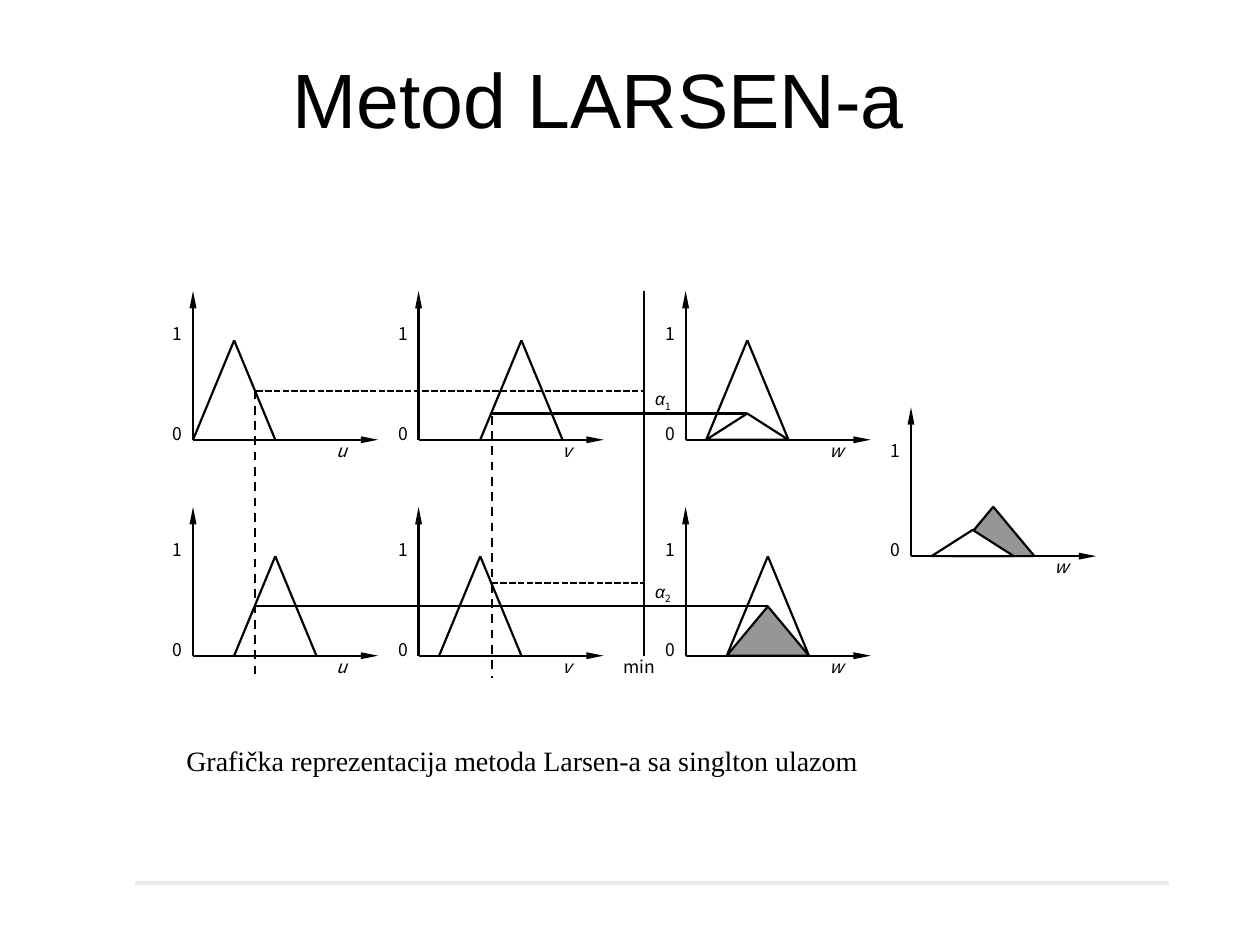
from lxml.etree import SubElement
from pptx import Presentation
from pptx.dml.color import RGBColor
from pptx.enum.dml import MSO_LINE_DASH_STYLE as DASH
from pptx.enum.shapes import MSO_CONNECTOR, MSO_SHAPE
from pptx.enum.text import MSO_ANCHOR, PP_ALIGN
from pptx.oxml.ns import qn
from pptx.util import Pt

BLACK = RGBColor(0x00, 0x00, 0x00)
WHITE = RGBColor(0xFF, 0xFF, 0xFF)
GRAY = RGBColor(0x96, 0x96, 0x96)
RULE = RGBColor(0xEA, 0xEA, 0xEA)
SANS, LABEL, SERIF = "Arial", "Noto Sans CJK KR", "Times New Roman"

# Plot geometry, in points
AXIS_W, AXIS_H = 105.8, 85
HALF, PEAK = 23.5, 56.8          # membership triangle: half base and height
STEP = HALF / 2                  # horizontal unit of the triangle positions
U_X, V_X, W_X, RESULT_X = 110.3, 239.2, 391.8, 520.6
ROW_1, ROW_2, RESULT_Y = 251.3, 374.7, 317.8
MIN_X = 368
CUT_1, CUT_2 = 15, 28.2          # heights of the scaled conclusions
INPUT_U, INPUT_V = U_X + 3 * STEP, 281


def add_line(slide, x1, y1, x2, y2, color=BLACK, width=1.25, dash=None, arrow=False):
    line = slide.shapes.add_connector(
        MSO_CONNECTOR.STRAIGHT, Pt(x1), Pt(y1), Pt(x2), Pt(y2))
    line.line.color.rgb = color
    line.line.width = Pt(width)
    if dash:
        line.line.dash_style = dash
    if arrow:
        SubElement(line.line._get_or_add_ln(), qn("a:tailEnd"),
                   type="triangle", w="sm", len="lg")
    SubElement(line._element.spPr, qn("a:effectLst"))


def add_label(slide, text, x, y, width=12, italic=False, font=LABEL, subscript=None):
    box = slide.shapes.add_textbox(Pt(x), Pt(y), Pt(width), Pt(9.5))
    tf = box.text_frame
    tf.word_wrap = True
    tf.margin_left = tf.margin_right = tf.margin_top = tf.margin_bottom = 0
    p = tf.paragraphs[0]
    p.text = text
    format_run(p.runs[0], font, 10, italic)
    if subscript:
        r = p.add_run()
        r.text = subscript
        format_run(r, LABEL, 10)
        r._r.get_or_add_rPr().set("baseline", "-25000")


def format_run(r, font, size, italic=False):
    r.font.name = font
    r.font.size = Pt(size)
    r.font.italic = italic
    r.font.color.rgb = BLACK


def add_plot(slide, x, y, variable, start=None):
    """Axes with origin (x, y) and a membership triangle start steps to the right."""
    add_line(slide, x, y, x, y - AXIS_H, arrow=True)
    add_line(slide, x, y, x + AXIS_W, y, arrow=True)
    add_label(slide, "1", x - 11.5, y - 66.5)
    add_label(slide, "0", x - 11.5, y - 9.6)
    add_label(slide, variable, x + 82, y, italic=True)
    if start is not None:
        left = x + start * STEP
        add_line(slide, left, y, left + HALF, y - PEAK)
        add_line(slide, left + HALF, y - PEAK, left + 2 * HALF, y)


def add_conclusion(slide, x, y, start, height, fill):
    """Scaled triangle standing on the axis of the plot with origin (x, y)."""
    sp = slide.shapes.add_shape(
        MSO_SHAPE.ISOSCELES_TRIANGLE, Pt(x + start * STEP), Pt(y - height),
        Pt(2 * HALF), Pt(height))
    sp.shadow.inherit = False
    sp.fill.solid()
    sp.fill.fore_color.rgb = fill
    sp.line.color.rgb = BLACK
    sp.line.width = Pt(1.25)


def add_title(slide, x, y, w, h):
    title = slide.shapes.title
    title.left, title.top, title.width, title.height = Pt(x), Pt(y), Pt(w), Pt(h)
    tf = title.text_frame
    tf.text = "Metod LARSEN-a"
    tf.vertical_anchor = MSO_ANCHOR.MIDDLE
    tf.paragraphs[0].alignment = PP_ALIGN.CENTER
    format_run(tf.paragraphs[0].runs[0], SANS, 44)


def add_diagram(slide):
    # Rule 1, rule 2 and the combined result
    for x, y, variable, start in [
            (U_X, ROW_1, "u", 0), (V_X, ROW_1, "v", 3), (W_X, ROW_1, "w", 1),
            (U_X, ROW_2, "u", 2), (V_X, ROW_2, "v", 1), (W_X, ROW_2, "w", 2),
            (RESULT_X, RESULT_Y, "w", None)]:
        add_plot(slide, x, y, variable, start)

    # Singleton inputs
    add_line(slide, INPUT_U, 223.2, INPUT_U, 385.2, dash=DASH.DASH)
    add_line(slide, INPUT_V, 237.6, INPUT_V, 387.4, dash=DASH.DASH)

    # Larger membership degrees, dropped by the minimum
    add_line(slide, INPUT_U + 1, 223.2, MIN_X, 223.2, dash=DASH.SQUARE_DOT)
    add_line(slide, INPUT_V, 333, MIN_X, 333, dash=DASH.SQUARE_DOT)

    # Smaller membership degrees, carried to the conclusions
    apex_1, apex_2 = W_X + STEP + HALF, W_X + 2 * STEP + HALF
    add_line(slide, INPUT_V, ROW_1 - CUT_1, apex_1, ROW_1 - CUT_1)
    add_line(slide, INPUT_U, ROW_2 - CUT_2, apex_2, ROW_2 - CUT_2)

    # Scaled conclusions
    for x, y, start, height, fill in [
            (W_X, ROW_2, 2, CUT_2, GRAY), (W_X, ROW_1, 1, CUT_1, WHITE),
            (RESULT_X, RESULT_Y, 2, CUT_2, GRAY), (RESULT_X, RESULT_Y, 1, CUT_1, WHITE)]:
        add_conclusion(slide, x, y, start, height, fill)

    # Minimum operator
    add_line(slide, MIN_X, ROW_1 - AXIS_H, MIN_X, ROW_2)
    add_label(slide, "min", 356.4, ROW_2, width=24)
    for index, y in (("1", 221.8), ("2", 331.9)):
        add_label(slide, "α", 374.4, y, 24, True, SANS, subscript=index)


def add_caption(slide, x, y, w, h):
    box = slide.shapes.add_textbox(Pt(x), Pt(y), Pt(w), Pt(h))
    tf = box.text_frame
    tf.word_wrap = True
    tf.text = "Grafička reprezentacija metoda Larsen-a sa singlton ulazom"
    format_run(tf.paragraphs[0].runs[0], SERIF, 16)


def main():
    prs = Presentation()
    prs.slide_width, prs.slide_height = Pt(720), Pt(540)
    slide = prs.slides.add_slide(prs.slide_layouts[5])
    add_title(slide, 18, 10.8, 648, 90)
    add_line(slide, 77, 504.7, 668.2, 504.7, RULE, 2.25)  # footer rule
    add_diagram(slide)
    add_caption(slide, 99.4, 421.2, 498, 26.6)
    prs.save("out.pptx")


if __name__ == "__main__":
    main()
